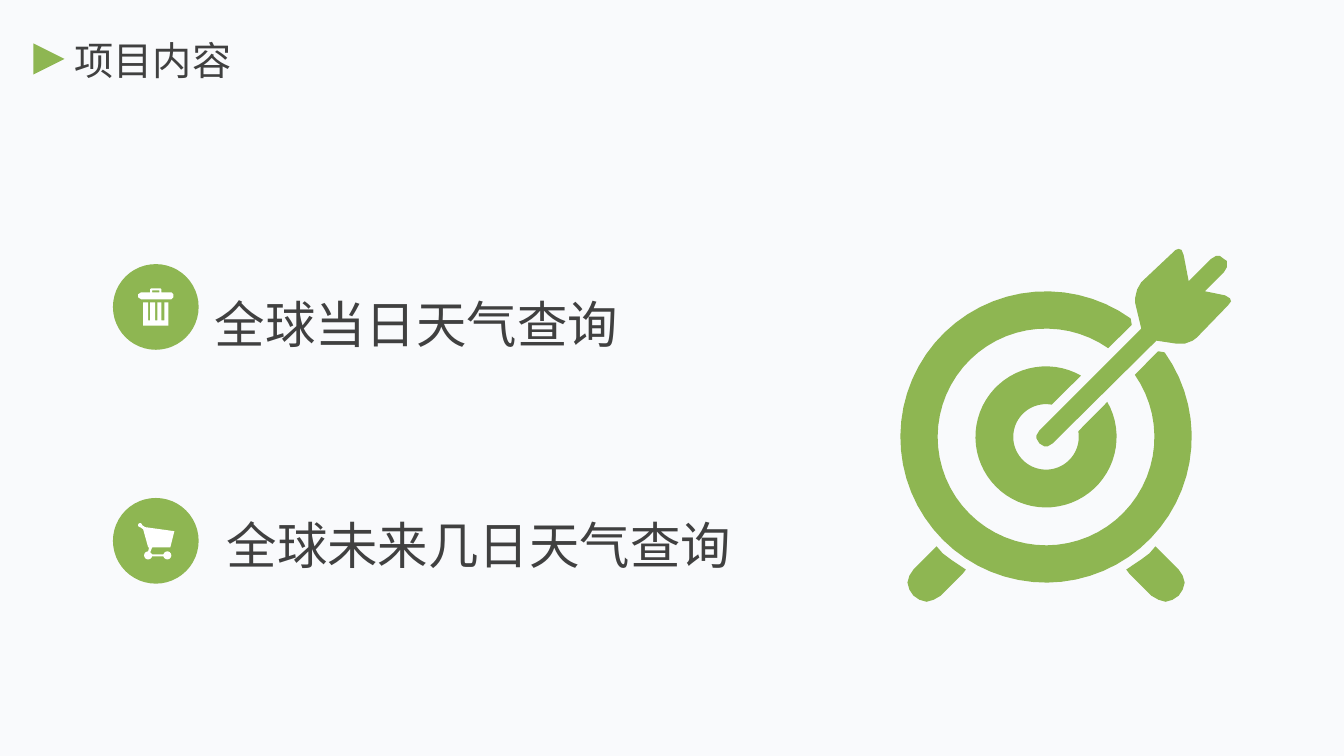
from math import cos, radians, sin

from lxml.etree import SubElement
from pptx import Presentation
from pptx.dml.color import RGBColor
from pptx.enum.shapes import MSO_SHAPE
from pptx.enum.text import MSO_ANCHOR, MSO_AUTO_SIZE, PP_ALIGN
from pptx.oxml.ns import qn
from pptx.util import Inches, Pt

GREEN = RGBColor(0x8E, 0xB6, 0x52)
GRAY = RGBColor(0x40, 0x40, 0x40)
WHITE = RGBColor(0xFF, 0xFF, 0xFF)
BACKGROUND = RGBColor(0xF9, 0xFA, 0xFC)
FONT = "Noto Sans CJK SC"

TARGET_CENTER = (10.375, 4.335)
GAP_ANGLE = 45
FOOT = [(9.29, 5.42), (9.06, 5.65), (9.02, 5.71), (9, 5.78), (9.02, 5.85),
        (9.06, 5.91), (9.12, 5.95), (9.19, 5.97), (9.26, 5.95), (9.33, 5.91),
        (9.55, 5.69), (9.58, 5.65), (9.43, 5.55), (9.35, 5.49)]
ARROW = [(11.69, 2.47), (11.66, 2.48), (11.32, 2.8), (11.28, 2.87),
         (11.26, 2.95), (11.26, 3.01), (11.32, 3.26), (10.31, 4.27),
         (10.28, 4.32), (10.28, 4.35), (10.31, 4.4), (10.36, 4.43),
         (10.39, 4.43), (10.44, 4.4), (11.47, 3.38), (11.67, 3.41),
         (11.75, 3.41), (11.83, 3.38), (11.87, 3.35), (12.18, 3.03),
         (12.21, 2.99), (12.2, 2.96), (12.15, 2.93), (11.95, 2.89),
         (12.14, 2.7), (12.17, 2.65), (12.17, 2.59), (12.14, 2.57),
         (12.1, 2.54), (12.06, 2.54), (12.01, 2.57), (11.79, 2.79),
         (11.74, 2.53), (11.72, 2.48)]


def paint(shape, color):
    shape.shadow.inherit = False
    shape.fill.solid()
    shape.fill.fore_color.rgb = color
    shape.line.fill.background()


def add_preset(shapes, kind, left, top, size, color, rotation=0):
    shape = shapes.add_shape(kind, Inches(left), Inches(top), Inches(size), Inches(size))
    shape.rotation = rotation
    paint(shape, color)


def add_outline(shapes, color, *contours):
    scaled = [[(Inches(x), Inches(y)) for x, y in contour] for contour in contours]
    builder = shapes.build_freeform(*scaled[0][0])
    builder.add_line_segments(scaled[0][1:])
    for contour in scaled[1:]:
        builder.move_to(*contour[0])
        builder.add_line_segments(contour[1:])
    paint(builder.convert_to_shape(), color)


def arc(center, radius, start, end, steps=12):
    angles = [radians(start + (end - start) * step / steps) for step in range(steps + 1)]
    return [(center[0] + radius * cos(angle), center[1] - radius * sin(angle))
            for angle in angles]


def rectangle(left, top, right, bottom):
    return [(left, top), (right, top), (right, bottom), (left, bottom)]


def format_text(box, text, size):
    frame = box.text_frame
    frame.text = text
    frame.word_wrap = True
    frame.auto_size = MSO_AUTO_SIZE.NONE
    frame.vertical_anchor = MSO_ANCHOR.MIDDLE
    para = frame.paragraphs[0]
    para.alignment = PP_ALIGN.LEFT
    span = para.runs[0]
    span.font.size = Pt(size)
    span.font.name = FONT
    span.font.color.rgb = GRAY
    SubElement(span._r.get_or_add_rPr(), qn("a:ea")).set("typeface", FONT)


def add_title(page, text):
    title = page.shapes.title
    title.left, title.top = Inches(0.64), Inches(0.31)
    title.width, title.height = Inches(3.82), Inches(0.57)
    format_text(title, text, 28)
    add_preset(page.shapes, MSO_SHAPE.ISOSCELES_TRIANGLE, 0.33, 0.43, 0.31, GREEN, 90)


def add_item(page, text, left, top, width, circle_top):
    add_preset(page.shapes, MSO_SHAPE.OVAL, 1.12, circle_top, 0.85, GREEN)
    box = page.shapes.add_textbox(Inches(left), Inches(top), Inches(width), Inches(0.71))
    format_text(box, text, 36)


def add_ring(shapes, outer, inner, outer_gap, inner_gap, corner=None):
    def sweep(radius, gap):
        return arc(TARGET_CENTER, radius, GAP_ANGLE + gap, GAP_ANGLE + 360 - gap, 60)

    first_corner, last_corner = [], []
    if corner:
        radius, gap = corner
        first_corner, last_corner = [
            arc(TARGET_CENTER, radius, angle, angle, 1)[:1]
            for angle in (GAP_ANGLE + gap, GAP_ANGLE - gap)]
    points = sweep(outer, outer_gap) + last_corner + sweep(inner, inner_gap)[::-1]
    add_outline(shapes, GREEN, points + first_corner)


def add_target(page):
    shapes = page.shapes.add_group_shape().shapes
    add_ring(shapes, 1.445, 1.075, 9.5, 10, (1.4, 7.6))
    add_ring(shapes, 0.7, 0.325, 15.3, 35.1)
    add_outline(shapes, GREEN, FOOT)
    add_outline(shapes, GREEN, [(2 * TARGET_CENTER[0] - x, y) for x, y in FOOT])
    add_outline(shapes, GREEN, ARROW)


def add_trash_can(page):
    shapes = page.shapes.add_group_shape().shapes
    slots = []
    for left in (1.47, 1.54, 1.6):
        right = left + (0.03 if left == 1.6 else 0.02)
        slots += [(left, 3), (left, 3.18), (right, 3.18), (right, 3)]
    add_outline(shapes, WHITE, [(1.42, 3), *slots, (1.67, 3), (1.67, 3.23), (1.42, 3.23)])
    lid = [(1.49, 2.9), (1.49, 2.87), (1.5, 2.86), (1.59, 2.86), (1.6, 2.87),
           (1.6, 2.9), (1.7, 2.9), (1.72, 2.92), (1.72, 2.95), (1.7, 2.97),
           (1.4, 2.97), (1.37, 2.95), (1.37, 2.92), (1.4, 2.9)]
    add_outline(shapes, WHITE, lid, rectangle(1.51, 2.88, 1.58, 2.9)[::-1])


def add_cart(page):
    wheels = arc((1.47, 5.51), 0.04, 90, 345) + arc((1.66, 5.51), 0.04, 195, 525)
    basket = [(1.51, 5.5), (1.49, 5.48), (1.51, 5.43), (1.69, 5.43),
              (1.73, 5.27), (1.44, 5.23)]
    knob = arc((1.39, 5.21), 0.02, 0, 270)
    add_outline(page.shapes, WHITE,
                wheels + basket + knob + [(1.42, 5.25), (1.47, 5.43), (1.48, 5.43)])


def main():
    deck = Presentation()
    deck.slide_width, deck.slide_height = Inches(13.33), Inches(7.5)
    page = deck.slides.add_slide(deck.slide_layouts[5])
    page.background.fill.solid()
    page.background.fill.fore_color.rgb = BACKGROUND
    add_title(page, "项目内容")
    add_target(page)
    add_item(page, "全球当日天气查询", 2.03, 2.85, 4.59, 2.62)
    add_item(page, "全球未来几日天气查询", 2.15, 5.04, 5.39, 4.94)
    add_trash_can(page)
    add_cart(page)
    deck.save("out.pptx")


main()
